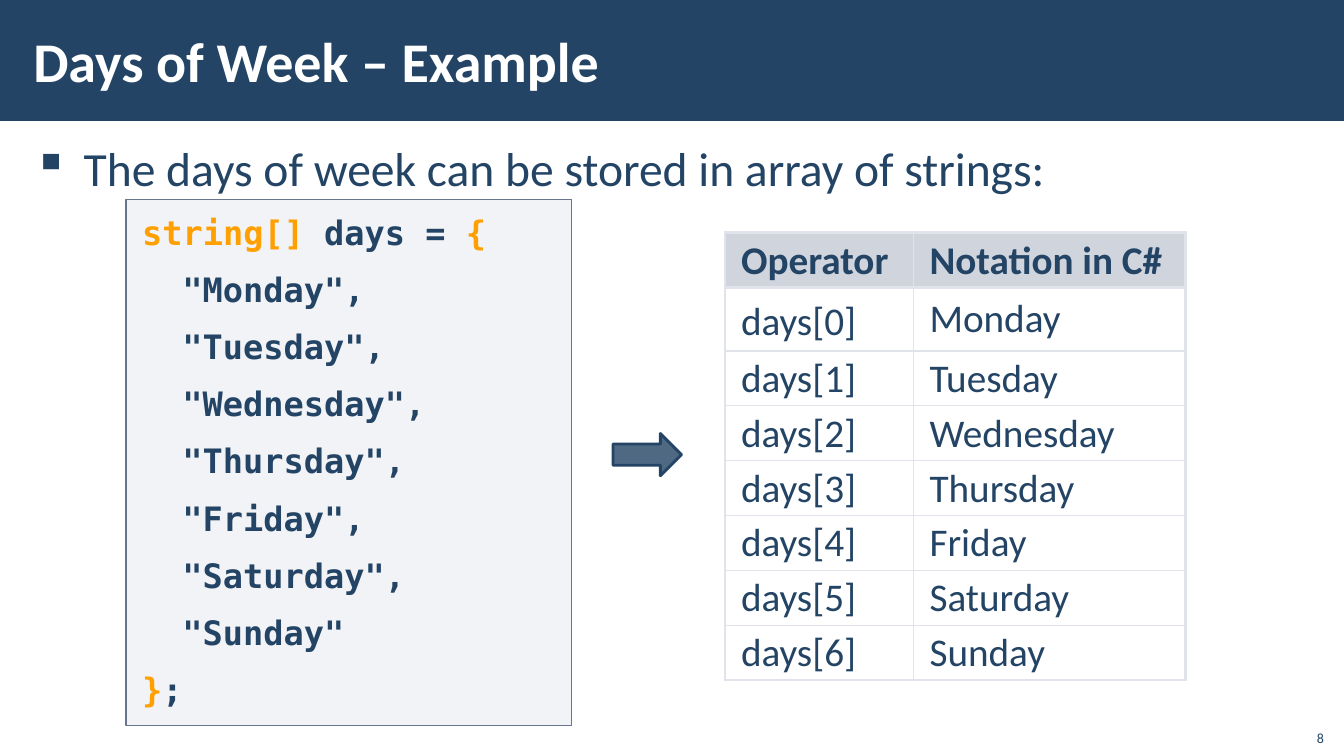
"""Builds the slide on days of the week stored in an array of strings."""
from dataclasses import dataclass

from lxml.etree import SubElement
from pptx import Presentation
from pptx.dml.color import RGBColor
from pptx.enum.shapes import MSO_SHAPE
from pptx.enum.text import MSO_ANCHOR, PP_ALIGN
from pptx.oxml.ns import qn
from pptx.util import Emu, Pt

PX = 9144


@dataclass(frozen=True)
class Theme:
    navy: str = "234465"
    white: str = "FFFFFF"
    orange: str = "FFA000"
    code_fill: str = "ADB4C3"
    code_line: str = "67748E"
    header_fill: str = "A3ABBC"
    grid: str = "E0E3E9"
    font: str = "Calibri"
    code_font: str = "DejaVu Sans Mono"
    title_size: int = 40
    body_size: int = 34
    table_size: int = 28
    code_size: int = 24
    number_size: int = 10


class SlideBuilder:
    def __init__(self, deck, theme):
        self.theme = theme
        self.page = deck.slides.add_slide(deck.slide_layouts[5])

    def add_span(self, para, text, size, color, bold=False, font=None):
        span = para.add_run()
        span.text = text
        span.font.size = Pt(size)
        span.font.bold = bold
        span.font.name = font or self.theme.font
        span.font.color.rgb = RGBColor.from_string(color)

    def set_frame(self, frame, anchor, side=12, edge=4):
        frame.word_wrap = True
        frame.vertical_anchor = anchor
        frame.margin_left = frame.margin_right = Emu(side * PX)
        frame.margin_top = frame.margin_bottom = Emu(edge * PX)

    def set_fill(self, fill, color, opacity=100):
        fill.solid()
        fill.fore_color.rgb = RGBColor.from_string(color)
        if opacity < 100:
            tint = fill.fore_color._xFill.find(qn("a:srgbClr"))
            SubElement(tint, qn("a:alpha"), val=str(opacity * 1000))

    def add_box(self, kind, area, fill, opacity=100, line=None, width=1):
        box = self.page.shapes.add_shape(kind, *(Emu(n * PX) for n in area))
        box.shadow.inherit = False
        self.set_fill(box.fill, fill, opacity)
        if line:
            box.line.color.rgb = RGBColor.from_string(line)
            box.line.width = Pt(width)
        else:
            box.line.fill.background()
        return box

    def add_title(self, text, area, bar_area):
        title = self.page.shapes.title
        title.left, title.top, title.width, title.height = (Emu(n * PX) for n in area)
        self.set_frame(title.text_frame, MSO_ANCHOR.MIDDLE)
        para = title.text_frame.paragraphs[0]
        para.alignment = PP_ALIGN.LEFT
        self.add_span(para, text, self.theme.title_size, self.theme.white, True)
        bar = self.add_box(MSO_SHAPE.RECTANGLE, bar_area, self.theme.navy)
        title.element.addprevious(bar.element)

    def add_text(self, text, area, size, anchor=MSO_ANCHOR.TOP, align=PP_ALIGN.LEFT):
        box = self.page.shapes.add_textbox(*(Emu(n * PX) for n in area))
        self.set_frame(box.text_frame, anchor)
        para = box.text_frame.paragraphs[0]
        para.alignment = align
        self.add_span(para, text, size, self.theme.navy)
        return para

    def set_indent(self, para, left, first=0):
        properties = para._p.get_or_add_pPr()
        properties.set("marL", str(left * PX))
        properties.set("indent", str(first * PX))
        return properties

    def add_bullet(self, text, area):
        para = self.add_text(text, area, self.theme.body_size)
        para.line_spacing = 1.05
        para.space_before = para.space_after = Pt(6)
        SubElement(self.set_indent(para, 50, -50), qn("a:buChar"), char="▪")

    def add_code(self, lines, area):
        theme = self.theme
        box = self.add_box(MSO_SHAPE.RECTANGLE, area, theme.code_fill, 15, theme.code_line)
        frame = box.text_frame
        self.set_frame(frame, MSO_ANCHOR.TOP, 16, 12)
        for index, (indent, spans) in enumerate(lines):
            para = frame.add_paragraph() if index else frame.paragraphs[0]
            para.alignment = PP_ALIGN.LEFT
            para.space_before = para.space_after = Pt(6)
            self.set_indent(para, indent)
            for text, color in spans:
                self.add_span(para, text, theme.code_size, color, True, theme.code_font)

    def set_borders(self, cell, widths):
        properties = cell._tc.get_or_add_tcPr()
        for side, width in zip("LRTB", widths):
            line = SubElement(properties, qn(f"a:ln{side}"), w=str(Pt(width)))
            fill = SubElement(line, qn("a:solidFill"))
            SubElement(fill, qn("a:srgbClr"), val=self.theme.grid)

    def add_table(self, rows, left, top, columns, heights):
        area = (left, top, sum(columns), sum(heights))
        table = self.page.shapes.add_table(
            len(rows), len(columns), *(Emu(n * PX) for n in area)).table
        table.first_row = table.horz_banding = False
        for column, width in zip(table.columns, columns):
            column.width = Emu(width * PX)
        for row, height in zip(table.rows, heights):
            row.height = Emu(height * PX)
        thick, thin = 2.25, 1
        for r, values in enumerate(rows):
            for c, text in enumerate(values):
                cell = table.cell(r, c)
                self.set_borders(cell, (
                    thick if c == 0 else thin,
                    thick if c == len(columns) - 1 else thin,
                    thick if r < 2 else thin,
                    thick if r == 0 else thin))
                if r == 0:
                    self.set_fill(cell.fill, self.theme.header_fill, 50)
                else:
                    cell.fill.background()
                cell.vertical_anchor = MSO_ANCHOR.MIDDLE
                cell.margin_left = cell.margin_right = Emu(16 * PX)
                cell.margin_top = cell.margin_bottom = Emu(5 * PX)
                para = cell.text_frame.paragraphs[0]
                para.line_spacing = Pt(38) if (r, c) == (1, 0) else 0.95
                self.add_span(para, text, self.theme.table_size, self.theme.navy, r == 0)


def main():
    deck = Presentation()
    deck.slide_width, deck.slide_height = Emu(1333 * PX), Emu(750 * PX)
    theme = Theme()
    builder = SlideBuilder(deck, theme)
    days = ["Monday", "Tuesday", "Wednesday", "Thursday", "Friday", "Saturday", "Sunday"]

    builder.add_title("Days of Week – Example", (21, 11, 1063, 97), (0, 0, 1333, 120))
    builder.add_bullet("The days of week can be stored in array of strings:",
                       (21, 131, 1292, 608))

    opening = [("string[]", theme.orange), (" days = ", theme.navy), ("{", theme.orange)]
    closing = [("}", theme.orange), (";", theme.navy)]
    items = [(40, [(f'"{day}"' + ("," if day != days[-1] else ""), theme.navy)])
             for day in days]
    builder.add_code([(0, opening), *items, (0, closing)], (125, 198, 442, 522))

    builder.add_box(MSO_SHAPE.RIGHT_ARROW, (608, 430, 68, 42), theme.navy, 80, theme.navy, 2)
    rows = [("Operator", "Notation in C#")]
    rows += [(f"days[{index}]", day) for index, day in enumerate(days)]
    builder.add_table(rows, 719, 231, (187, 270), [54, 62] + [54] * 6)
    builder.add_text("8", (1285, 712, 40, 32), theme.number_size,
                     MSO_ANCHOR.BOTTOM, PP_ALIGN.RIGHT)
    deck.save("out.pptx")


if __name__ == "__main__":
    main()
